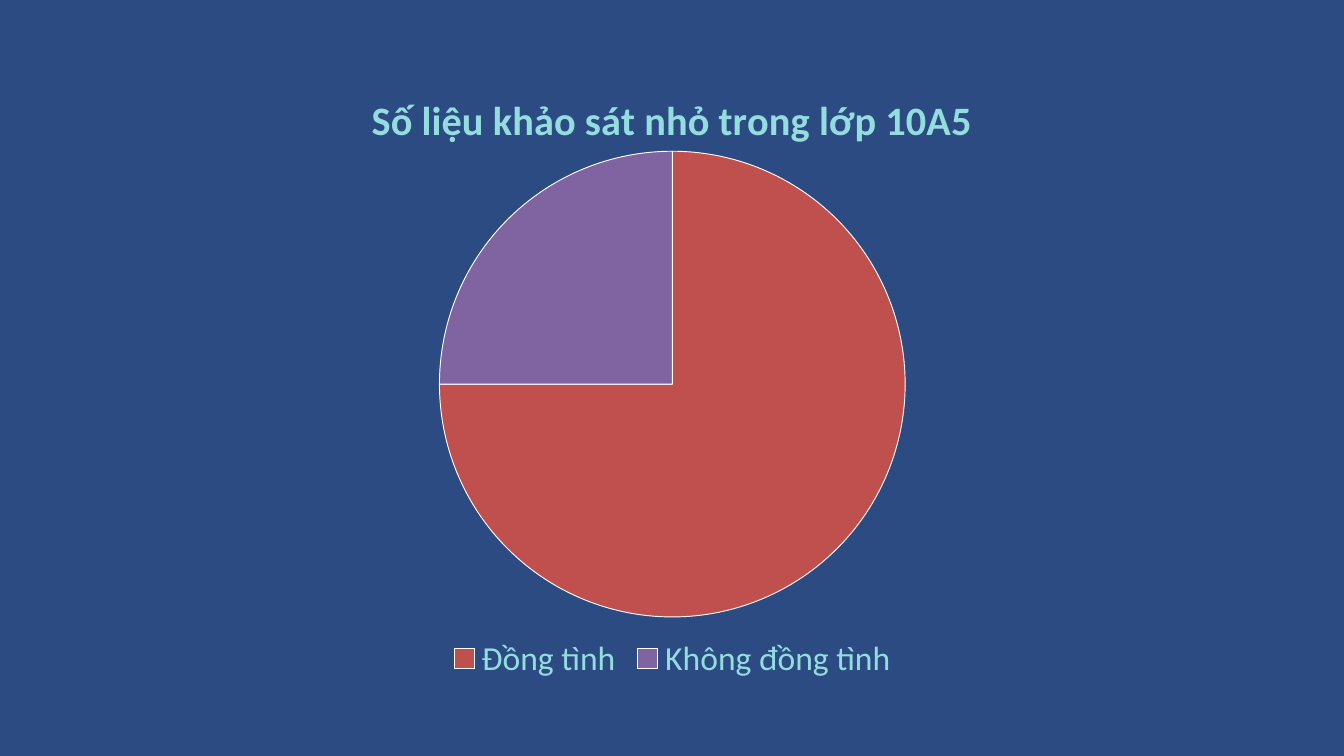
from lxml import etree
from pptx import Presentation
from pptx.chart.data import CategoryChartData
from pptx.dml.color import RGBColor
from pptx.enum.chart import XL_CHART_TYPE, XL_LEGEND_POSITION
from pptx.oxml.ns import qn
from pptx.util import Inches, Pt

PIE = XL_CHART_TYPE.PIE
BOTTOM = XL_LEGEND_POSITION.BOTTOM

COLORS = {
    "background": "2B4B82",
    "text": "94DDDE",
    "agree": "C0504D",
    "disagree": "8064A2",
    "outline": "FFFFFF",
}
FONT = "Calibri"

prs = Presentation()
prs.slide_width, prs.slide_height = Inches(20), Inches(11.25)
s = prs.slides.add_slide(prs.slide_layouts[6])
s.background.fill.solid()
s.background.fill.fore_color.rgb = RGBColor.from_string(COLORS["background"])

# Survey data
data = CategoryChartData()
data.categories = ["Đồng tình", "Không đồng tình"]
data.add_series("Series 1", (75, 25))
chart = s.shapes.add_chart(
    PIE, Inches(3.17), Inches(1.03), Inches(13.67), Inches(9.18), data
).chart
chart.font.size = Pt(36)
chart.font.name = FONT

# Title
chart.has_title = True
tf = chart.chart_title.text_frame
tf.text = "Số liệu khảo sát nhỏ trong lớp 10A5"
chart.chart_title.include_in_layout = False
title_font = tf.paragraphs[0].runs[0].font
title_font.size = Pt(43.2)
title_font.bold = True
title_font.name = FONT

# Legend
chart.has_legend = True
chart.legend.position = BOTTOM
chart.legend.include_in_layout = False
chart.legend.font.size = Pt(36)
chart.legend.font.name = FONT
for font in (title_font, chart.legend.font):
    font.color.rgb = RGBColor.from_string(COLORS["text"])

# Slices
plot = chart.plots[0]
plot.vary_by_categories = True
for i, name in enumerate(("agree", "disagree")):
    fmt = plot.series[0].points[i].format
    fmt.fill.solid()
    fmt.fill.fore_color.rgb = RGBColor.from_string(COLORS[name])
    fmt.line.color.rgb = RGBColor.from_string(COLORS["outline"])
    fmt.line.width = Pt(1)

# Pie area, as shares of the chart's size
plot_area = chart.element.chart.plotArea
for old in plot_area.findall(qn("c:layout")):
    plot_area.remove(old)
layout = etree.Element(qn("c:layout"))
manual = etree.SubElement(layout, qn("c:manualLayout"))
settings = {"layoutTarget": "inner", "xMode": "edge", "yMode": "edge",
            "x": 0.246, "y": 0.133, "w": 0.508, "h": 0.755}
for tag, value in settings.items():
    etree.SubElement(manual, qn(f"c:{tag}")).set("val", str(value))
plot_area.insert(0, layout)

prs.save("out.pptx")
